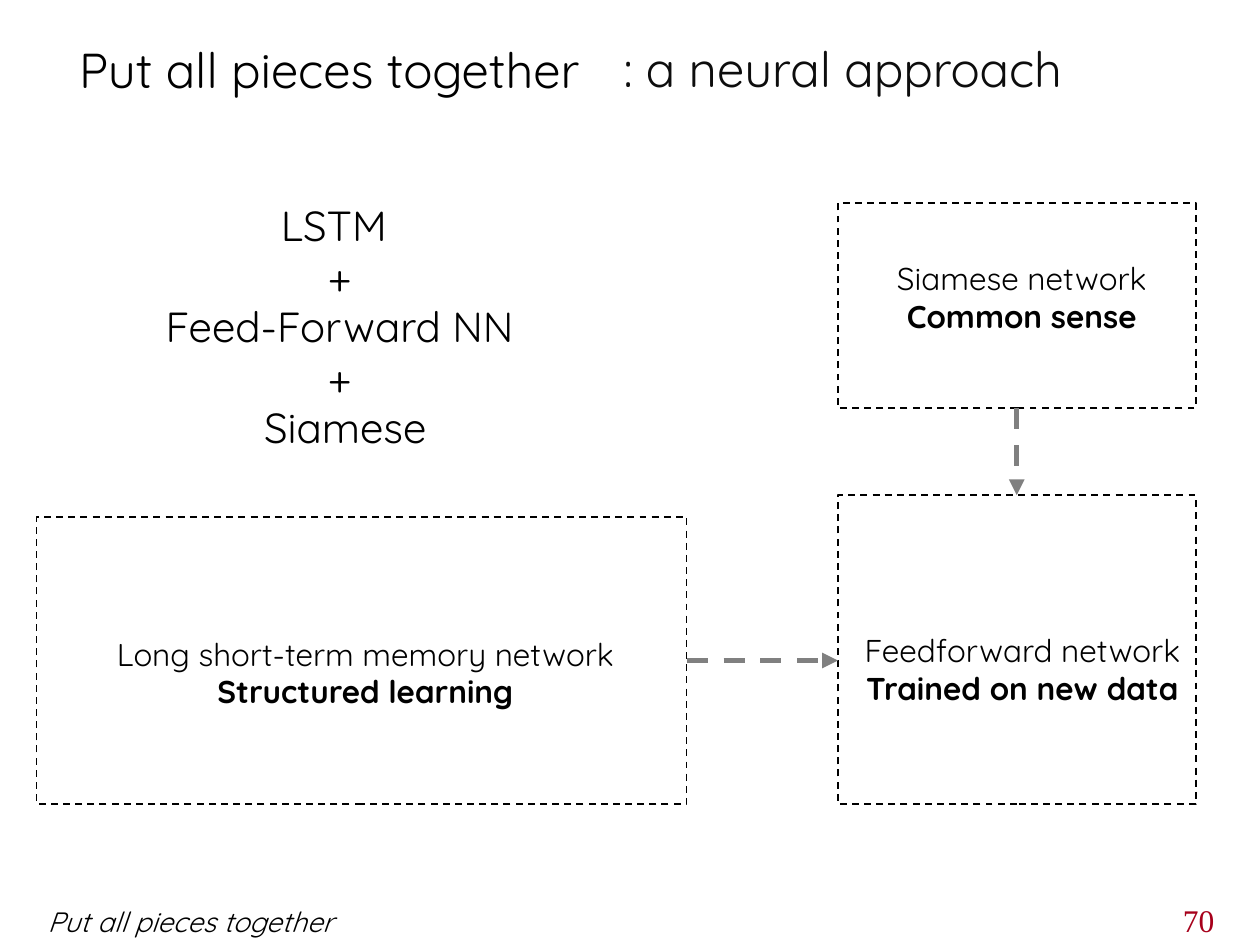
from lxml.etree import SubElement
from pptx import Presentation
from pptx.dml.color import RGBColor
from pptx.enum.dml import MSO_LINE_DASH_STYLE as Dash
from pptx.enum.shapes import MSO_CONNECTOR as Connector, MSO_SHAPE as Shape
from pptx.enum.text import MSO_ANCHOR as Anchor, PP_ALIGN as Align
from pptx.oxml.ns import qn
from pptx.util import Inches, Pt

BLACK = RGBColor(0x00, 0x00, 0x00)
CHARCOAL = RGBColor(0x0D, 0x0D, 0x0D)
GRAY = RGBColor(0x80, 0x80, 0x80)
RED = RGBColor(0xA7, 0x00, 0x1B)
BOTTOM, RIGHT, TOP = 2, 3, 0


class SlideBuilder:
    """Places elements by percentages of the slide's width and height."""

    font = "Quicksand"

    def __init__(self, presentation):
        self.width = presentation.slide_width
        self.height = presentation.slide_height
        self.slide = presentation.slides.add_slide(presentation.slide_layouts[6])

    def place(self, *shares):
        sides = (self.width, self.height) * 2
        return [round(side * share / 100) for side, share in zip(sides, shares)]

    def text(self, area, lines, size, color=BLACK, font=None, align=Align.LEFT,
             anchor=Anchor.TOP, wrap=False, bold_last=False, italic=False):
        frame = self.slide.shapes.add_textbox(*self.place(*area)).text_frame
        frame.text = "\n".join(lines)
        frame.word_wrap = wrap
        frame.vertical_anchor = anchor
        for paragraph in frame.paragraphs:
            paragraph.alignment = align
            for run in paragraph.runs:
                run.font.name = font or self.font
                run.font.size = Pt(size)
                run.font.color.rgb = color
                run.font.italic = italic
        if bold_last:
            frame.paragraphs[-1].runs[0].font.bold = True

    def style_line(self, line, color, width):
        line.color.rgb = color
        line.width = Pt(width)
        line.dash_style = Dash.DASH

    def network(self, area, label_area, name, role):
        shape = self.slide.shapes.add_shape(Shape.RECTANGLE, *self.place(*area))
        shape.shadow.inherit = False
        shape.fill.background()
        self.style_line(shape.line, BLACK, 1)
        self.text(label_area, [name, role], 18, align=Align.CENTER, bold_last=True)
        return shape

    def arrow(self, source, source_side, end, target=None, target_side=None):
        connector = self.slide.shapes.add_connector(
            Connector.STRAIGHT, 0, 0, *self.place(*end))
        connector.begin_connect(source, source_side)
        if target is not None:
            connector.end_connect(target, target_side)
        self.style_line(connector.line, GRAY, 3)
        SubElement(connector.line._get_or_add_ln(), qn("a:tailEnd"), type="triangle")
        SubElement(connector._element.spPr, qn("a:effectLst"))


def main():
    presentation = Presentation()
    presentation.slide_width = Inches(10)
    presentation.slide_height = Inches(7.5)
    builder = SlideBuilder(presentation)
    topic = "Put all pieces together"

    # Title in two parts
    builder.text((5.3, 3.5, 44.7, 7.6), [topic], 28, wrap=True)
    builder.text((48.5, 3.3, 42.2, 7.7), [": a neural approach"], 28, CHARCOAL,
                 anchor=Anchor.MIDDLE, wrap=True)

    # Combination of models
    builder.text((10.7, 20.5, 32.5, 28.3),
                 ["LSTM ", "+", " Feed-Forward NN ", "+", " Siamese"], 24,
                 align=Align.CENTER)

    # Networks
    siamese = builder.network((66.5, 21.5, 28.4, 21.7), (69.6, 26.8, 23, 9.5),
                              "Siamese network", "Common sense")
    memory = builder.network((2.9, 54.7, 51.6, 30.4), (7.8, 66.5, 42.4, 9.5),
                             "Long short-term memory network", "Structured learning")
    feedforward = builder.network((66.5, 52.4, 28.4, 32.7), (67, 66.1, 28.3, 9.5),
                                  "Feedforward network", "Trained on new data")

    # Flow into the feedforward network
    builder.arrow(memory, RIGHT, (66.5, 69.9))
    builder.arrow(siamese, BOTTOM, (80.7, 52.4), feedforward, TOP)

    # Footer and page number
    builder.text((2.8, 95.1, 35, 4.9), [topic], 16, wrap=True, italic=True)
    builder.text((92.9, 94.7, 4.9, 5.3), ["70"], 18, RED, font="Times New Roman")

    presentation.save("out.pptx")


if __name__ == "__main__":
    main()
